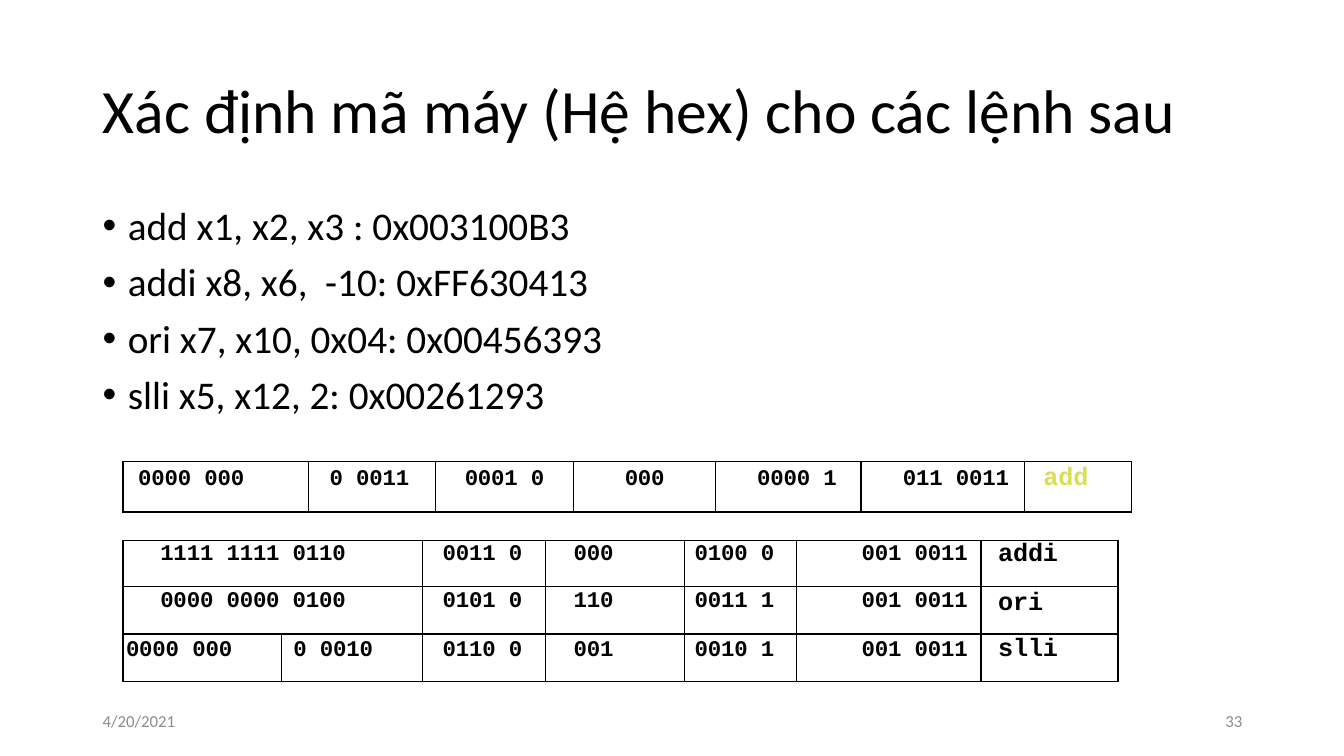
from pptx import Presentation
from pptx.dml.color import RGBColor
from pptx.enum.text import MSO_ANCHOR, PP_ALIGN
from pptx.oxml import parse_xml
from pptx.oxml.ns import nsdecls
from pptx.util import Inches, Pt

LEFT, MID, RIGHT = PP_ALIGN.LEFT, PP_ALIGN.CENTER, PP_ALIGN.RIGHT
TOP, CENTER = MSO_ANCHOR.TOP, MSO_ANCHOR.MIDDLE
BLACK, GRAY, LIME = "000000", "8C8C8C", "D7E055"
SANS, MONO = "Calibri", "Courier New"


def color(code):
    return RGBColor.from_string(code)


def write(para, text, size=16, font=SANS, ink=BLACK, bold=False,
          side=LEFT, lead=1.0, before=0, track=0):
    """Fill one paragraph; lead is a factor or an exact Pt height."""
    para.alignment = side
    para.line_spacing = lead
    para.space_before = Pt(before)
    run = para.add_run()
    run.text = text
    run.font.size, run.font.name, run.font.bold = Pt(size), font, bold
    run.font.color.rgb = color(ink)
    if track:
        run._r.get_or_add_rPr().set("spc", str(round(track * 100)))


def bullet(para, indent):
    props = para._p.get_or_add_pPr()
    props.set("marL", str(Inches(indent)))
    props.set("indent", str(-Inches(indent)))
    for tag in ('<a:buFont %s typeface="Arial"/>', '<a:buChar %s char="•"/>'):
        props.append(parse_xml(tag % nsdecls("a")))


def frame(cell, ink=BLACK, width=1):
    """Draw the four borders of a table cell."""
    props = cell._tc.get_or_add_tcPr()
    for spot, edge in enumerate("LRTB"):
        props.insert(spot, parse_xml(
            f'<a:ln{edge} {nsdecls("a")} w="{Pt(width)}"><a:solidFill>'
            f'<a:srgbClr val="{ink}"/></a:solidFill></a:ln{edge}>'))


class Page:
    def __init__(self, deck):
        self.slide = deck.slides.add_slide(deck.slide_layouts[6])

    def text(self, box, lines, anchor=CENTER, dots=False, **style):
        area = self.slide.shapes.add_textbox(*map(Inches, box)).text_frame
        area.word_wrap = True
        area.vertical_anchor = anchor
        for num, line in enumerate(lines):
            para = area.add_paragraph() if num else area.paragraphs[0]
            write(para, line, **style)
            if dots:
                bullet(para, 0.25)

    def table(self, left, top, cols, rows, ink=BLACK):
        """cols: (width, side, pad); rows: (height, inset, format, label lead, cells).

        A cell is a text or (text, pad); None joins it to the cell before.
        The last column holds the name of the instruction.
        """
        wide, high = sum(c[0] for c in cols), sum(r[0] for r in rows)
        grid = self.slide.shapes.add_table(
            len(rows), len(cols), *map(Inches, (left, top, wide, high))).table
        grid.first_row = grid.horz_banding = False
        for col, (width, _, _) in zip(grid.columns, cols):
            col.width = Inches(width)
        for y, (height, inset, style, lead, cells) in enumerate(rows):
            grid.rows[y].height = Inches(height)
            for x, (item, (_, side, pad)) in enumerate(zip(cells, cols)):
                cell = grid.cell(y, x)
                cell.fill.background()
                frame(cell)
                if item is None:
                    grid.cell(y, x - 1).merge(cell)
                    continue
                word, pad = item if isinstance(item, tuple) else (item, pad)
                name = x == len(cols) - 1
                cell.margin_top = Inches(0 if name else inset)
                cell.margin_bottom = 0
                cell.margin_left = Inches(pad if side == LEFT else 0)
                cell.margin_right = Inches(pad if side == RIGHT else 0)
                look = dict(size=18, lead=Pt(lead), ink=ink) if name else style
                write(cell.text_frame.paragraphs[0], word, font=MONO,
                      bold=True, side=side, track=-0.1, **look)


def main():
    deck = Presentation()
    deck.slide_width, deck.slide_height = Inches(13.33), Inches(7.5)
    page = Page(deck)

    page.text((0.92, 0.4, 11.5, 1.45),
              ["Xác định mã máy (Hệ hex) cho các lệnh sau"], size=44, lead=0.9)
    page.text((0.92, 2, 11.5, 4.76), [
        "add x1, x2, x3 : 0x003100B3",
        "addi x8, x6,  -10: 0xFF630413",
        "ori x7, x10, 0x04: 0x00456393",
        "slli x5, x12, 2: 0x00261293",
    ], anchor=TOP, dots=True, size=28, lead=0.9, before=10)

    page.table(1.22, 4.58, [
        (1.84, LEFT, 0.15), (1.26, LEFT, 0.21), (1.37, MID, 0),
        (1.41, MID, 0), (1.44, RIGHT, 0.24), (1.62, RIGHT, 0.15),
        (1.06, LEFT, 0.19),
    ], [
        (0.5, 0.05, dict(before=2.9), 22.4,
         ["0000 000", "0 0011", "0001 0", "000", "0000 1", "011 0011", "add"]),
    ], ink=LIME)

    page.table(1.22, 5.36, [
        (1.57, LEFT, 0.37), (1.4, LEFT, 0.12), (1.22, LEFT, 0.2),
        (1.38, LEFT, 0.28), (1.11, RIGHT, 0.22), (1.83, RIGHT, 0.13),
        (1.36, LEFT, 0.17),
    ], [
        (0.46, 0.02, dict(before=0.8), 20.6,
         ["1111 1111 0110", None, "0011 0", "000", "0100 0", "001 0011", "addi"]),
        (0.47, 0, dict(lead=Pt(19.9)), 22.4,
         ["0000 0000 0100", None, "0101 0", "110", "0011 1", "001 0011", "ori"]),
        (0.47, 0.04, dict(before=1.9), 21.7,
         [("0000 000", 0.03), "0 0010", "0110 0", "001", "0010 1", "001 0011",
          "slli"]),
    ])

    for left, word, side in ((0.92, "4/20/2021", LEFT), (9.42, "33", RIGHT)):
        page.text((left, 6.95, 3, 0.4), [word], size=12, ink=GRAY, side=side)
    deck.save("out.pptx")


if __name__ == "__main__":
    main()
